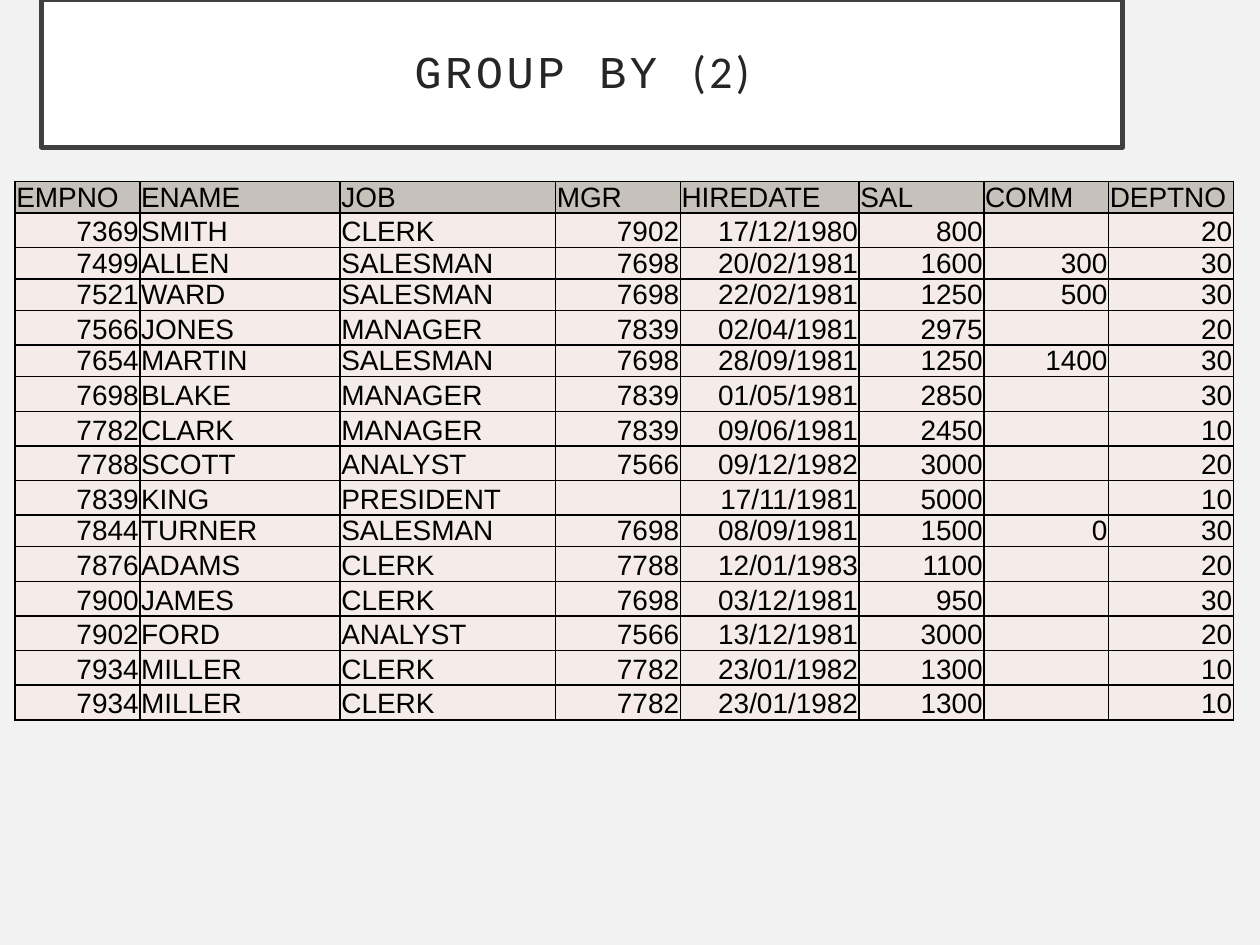
from lxml.etree import SubElement
from pptx import Presentation
from pptx.dml.color import RGBColor
from pptx.enum.text import MSO_ANCHOR, MSO_AUTO_SIZE, PP_ALIGN
from pptx.oxml.ns import qn
from pptx.util import Inches, Pt

# Content
TITLE = [("GROUP BY ", "Courier New"), ("(2)", "Calibri")]
COLUMNS = [("EMPNO", 0.99), ("ENAME", 1.59), ("JOB", 1.71), ("MGR", 0.99),
           ("HIREDATE", 1.42), ("SAL", 0.99), ("COMM", 0.99), ("DEPTNO", 0.99)]
LEFT_ALIGNED = {"ENAME", "JOB"}
EMPLOYEES = [
    (7369, "SMITH", "CLERK", 7902, "17/12/1980", 800, "", 20),
    (7499, "ALLEN", "SALESMAN", 7698, "20/02/1981", 1600, 300, 30),
    (7521, "WARD", "SALESMAN", 7698, "22/02/1981", 1250, 500, 30),
    (7566, "JONES", "MANAGER", 7839, "02/04/1981", 2975, "", 20),
    (7654, "MARTIN", "SALESMAN", 7698, "28/09/1981", 1250, 1400, 30),
    (7698, "BLAKE", "MANAGER", 7839, "01/05/1981", 2850, "", 30),
    (7782, "CLARK", "MANAGER", 7839, "09/06/1981", 2450, "", 10),
    (7788, "SCOTT", "ANALYST", 7566, "09/12/1982", 3000, "", 20),
    (7839, "KING", "PRESIDENT", "", "17/11/1981", 5000, "", 10),
    (7844, "TURNER", "SALESMAN", 7698, "08/09/1981", 1500, 0, 30),
    (7876, "ADAMS", "CLERK", 7788, "12/01/1983", 1100, "", 20),
    (7900, "JAMES", "CLERK", 7698, "03/12/1981", 950, "", 30),
    (7902, "FORD", "ANALYST", 7566, "13/12/1981", 3000, "", 20),
    (7934, "MILLER", "CLERK", 7782, "23/01/1982", 1300, "", 10),
    (7934, "MILLER", "CLERK", 7782, "23/01/1982", 1300, "", 10),
]
ROW_HEIGHT = 0.18
CELL_FORMAT = {"vertical_anchor": MSO_ANCHOR.BOTTOM, "margin_left": Inches(0.01),
               "margin_right": Inches(0.01), "margin_top": Pt(0.2), "margin_bottom": 0}
TITLE_FORMAT = {"vertical_anchor": MSO_ANCHOR.MIDDLE, "word_wrap": True,
                "auto_size": MSO_AUTO_SIZE.NONE,
                **{f"margin_{side}": Inches(0.2) for side in ("left", "top", "right", "bottom")}}


def apply(target, values):
    for name, value in values.items():
        setattr(target, name, value)


def paint(fill, color):
    fill.solid()
    fill.fore_color.rgb = RGBColor.from_string(color)


def add_run(p, text, font, size, color):
    r = p.add_run()
    r.text = text
    apply(r.font, {"name": font, "size": Pt(size)})
    r.font.color.rgb = RGBColor.from_string(color)
    return r


def add_borders(cell, color="000000", width=Pt(1)):
    tcPr = cell._tc.get_or_add_tcPr()
    for i, side in enumerate(("lnL", "lnR", "lnT", "lnB")):
        ln = SubElement(tcPr, qn(f"a:{side}"), w=str(width))
        SubElement(SubElement(ln, qn("a:solidFill")), qn("a:srgbClr"), val=color)
        tcPr.insert(i, ln)


def fill_cell(cell, value, color, align):
    apply(cell, CELL_FORMAT)
    paint(cell.fill, color)
    add_borders(cell)
    p = cell.text_frame.paragraphs[0]
    p.alignment = align
    if value == "":
        SubElement(p._p, qn("a:endParaRPr"), sz="1600")
    else:
        add_run(p, str(value), "Arial", 16, "000000")


prs = Presentation()
apply(prs, {"slide_width": Inches(10), "slide_height": Inches(7.5)})
s = prs.slides.add_slide(prs.slide_layouts[5])
paint(s.background.fill, "F2F2F2")

# Title
title = s.shapes.title
apply(title, {"left": Inches(0.33), "top": 0, "width": Inches(8.58), "height": Inches(1.17)})
paint(title.fill, "FFFFFF")
paint(title.line.fill, "404040")
title.line.width = Pt(2.5)
apply(title.text_frame, TITLE_FORMAT)
p = title.text_frame.paragraphs[0]
apply(p, {"alignment": PP_ALIGN.CENTER, "line_spacing": 0.9})
for text, font in TITLE:
    r = add_run(p, text, font, 26, "262626")
    r.font._element.set("spc", "200")

# Employee table
n_rows = len(EMPLOYEES) + 1
total_width = sum(width for _, width in COLUMNS)
table = s.shapes.add_table(n_rows, len(COLUMNS), Inches(0.12), Inches(1.44),
                           Inches(total_width), Inches(n_rows * ROW_HEIGHT)).table
apply(table, {"first_row": False, "horz_banding": False})
for row in table.rows:
    row.height = Inches(ROW_HEIGHT)
for c, (name, width) in enumerate(COLUMNS):
    table.columns[c].width = Inches(width)
    fill_cell(table.cell(0, c), name, "C6C1BA", PP_ALIGN.LEFT)
    align = PP_ALIGN.LEFT if name in LEFT_ALIGNED else PP_ALIGN.RIGHT
    for i, employee in enumerate(EMPLOYEES, 1):
        fill_cell(table.cell(i, c), employee[c], "F5EBE8", align)

prs.save("out.pptx")
